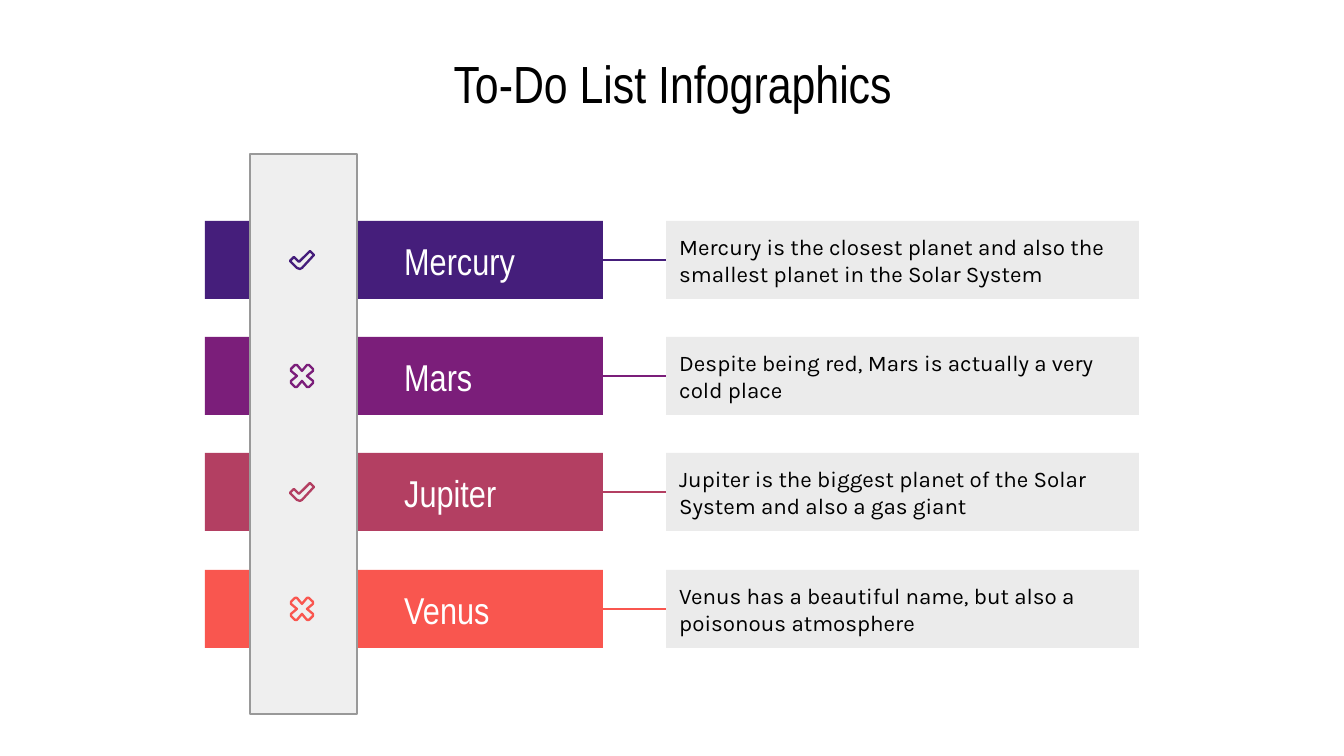
import pptx
import pptx.util
import pptx.dml.color
import pptx.enum.shapes
import pptx.enum.text
from lxml import etree

PX = 914400 / 134.4
DRAW = "{http://schemas.openxmlformats.org/drawingml/2006/main}"
HUES = {"ink": "000000", "white": "FFFFFF", "card": "EBEBEB",
        "panel": "EFEFEF", "edge": "999999", "Mercury": "451E7B",
        "Mars": "7B1E7A", "Jupiter": "B33F62", "Venus": "F9564F"}
ROWS = [
    ("Mercury", "check", "Mercury is the closest planet and also the smallest planet in the Solar System"),
    ("Mars", "cross", "Despite being red, Mars is actually a very cold place"),
    ("Jupiter", "check", "Jupiter is the biggest planet of the Solar System and also a gas giant"),
    ("Venus", "cross", "Venus has a beautiful name, but also a poisonous atmosphere"),
]
RECT = pptx.enum.shapes.MSO_SHAPE.RECTANGLE
LINE = pptx.enum.shapes.MSO_CONNECTOR.STRAIGHT
ALIGN = pptx.enum.text.PP_ALIGN

# One arm of the cross, turned a quarter three times
arm = [(0, -5), (5, -11), (7, -11), (11, -7), (11, -5)]
cross = []
for turn in range(4):
    cross += arm
    arm = [(-y, x) for x, y in arm]
ICONS = {"cross": cross,
         "check": [(-12, 1), (-8, -3), (-3, 2), (8, -9), (12, -5),
                   (0, 8), (-2, 9), (-5, 8)]}

deck = pptx.Presentation()
deck.slide_width = round(1344 * PX)
deck.slide_height = round(756 * PX)
slide = deck.slides.add_slide(deck.slide_layouts[6])
shapes = slide.shapes


def add_box(left, top, width, height, hue):
    box = shapes.add_shape(RECT, *[round(n * PX) for n in (left, top, width, height)])
    box.shadow.inherit = False
    box.fill.solid()
    box.fill.fore_color.rgb = pptx.dml.color.RGBColor.from_string(HUES[hue])
    box.line.fill.background()
    return box


def add_text(box, text, font, size, hue, align=ALIGN.LEFT):
    frame = box.text_frame
    frame.word_wrap = True
    frame.vertical_anchor = pptx.enum.text.MSO_ANCHOR.MIDDLE
    frame.margin_left = frame.margin_right = pptx.util.Inches(0.1)
    frame.margin_top = frame.margin_bottom = pptx.util.Inches(0.1)
    para = frame.paragraphs[0]
    para.alignment = align
    run = para.add_run()
    run.text = text
    run.font.name = font
    run.font.size = pptx.util.Pt(size)
    run.font.color.rgb = pptx.dml.color.RGBColor.from_string(HUES[hue])


title = shapes.add_textbox(*[round(n * PX) for n in (105, 47, 1135, 71)])
add_text(title, "To-Do List Infographics", "Arial Narrow", 28, "ink", ALIGN.CENTER)

tops = [221 + 349 * i // 3 for i in range(len(ROWS))]
for top, (name, icon, note) in zip(tops, ROWS):
    bar = add_box(205, top, 398, 78, name)
    label = shapes.add_textbox(*[round(n * PX) for n in (391, top + 13, 150, 54)])
    add_text(label, name, "Arial Narrow", 20, "white")
    card = add_box(666, top, 473, 78, "card")
    add_text(card, note, "Karla", 12, "ink")

    link = shapes.add_connector(LINE, 0, 0, 0, 0)
    link.begin_connect(bar, 3)
    link.end_connect(card, 1)
    link.line.width = pptx.util.Pt(1.5)
    link.line.color.rgb = pptx.dml.color.RGBColor.from_string(HUES[name])
    etree.SubElement(link._element.spPr, DRAW + "effectLst")

panel = add_box(250, 154, 107, 560, "panel")
panel.line.width = pptx.util.Pt(0.75)
panel.line.color.rgb = pptx.dml.color.RGBColor.from_string(HUES["edge"])

for top, (name, icon, note) in zip(tops, ROWS):
    dots = [(302 + x, top + 39 + y) for x, y in ICONS[icon]]
    pen = shapes.build_freeform(*dots[0], scale=PX)
    pen.add_line_segments(dots[1:], close=True)
    mark = pen.convert_to_shape()
    mark.shadow.inherit = False
    mark.fill.background()
    mark.line.width = pptx.util.Pt(1.25)
    mark.line.color.rgb = pptx.dml.color.RGBColor.from_string(HUES[name])
    etree.SubElement(mark.line._get_or_add_ln(), DRAW + "round")

deck.save("out.pptx")
